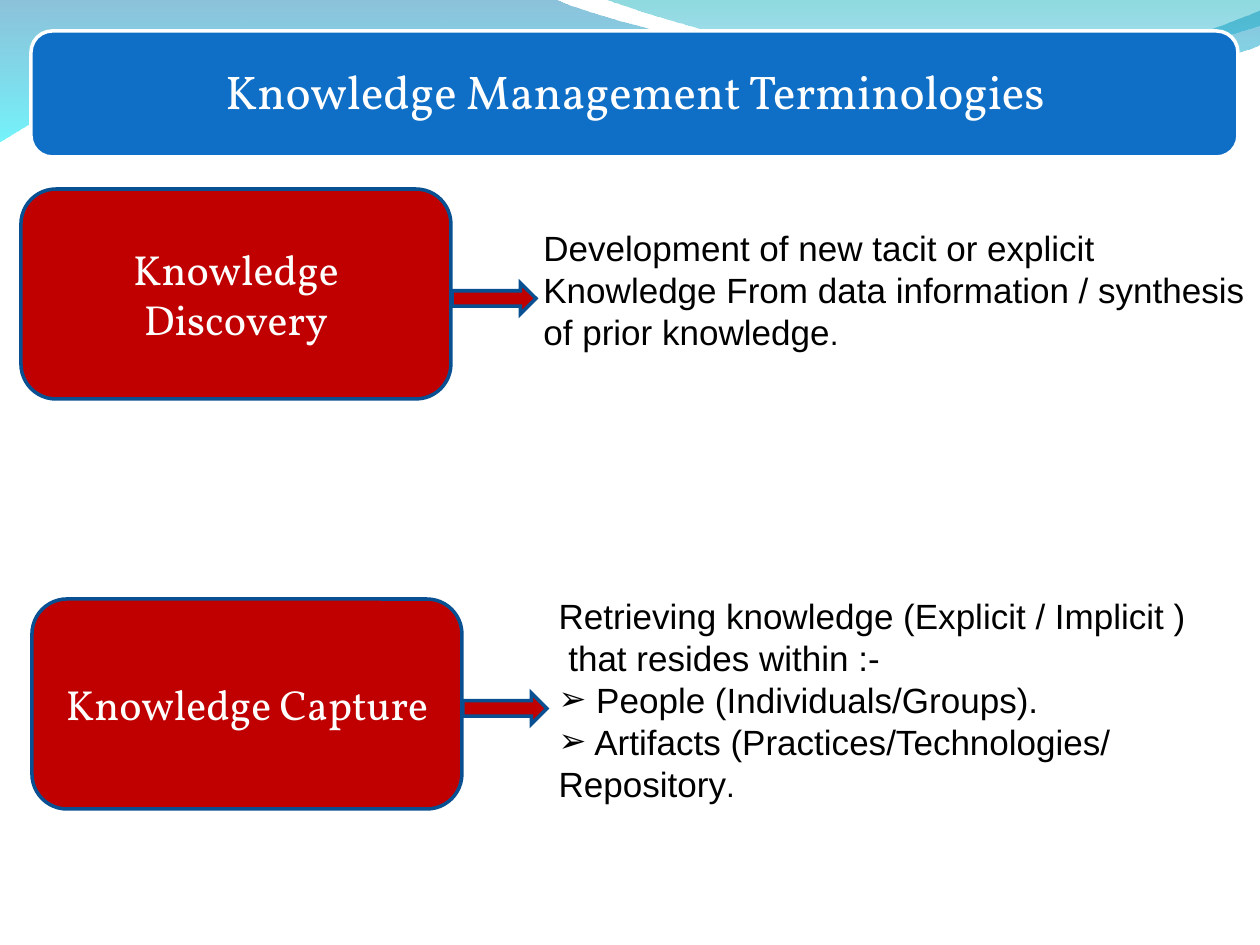
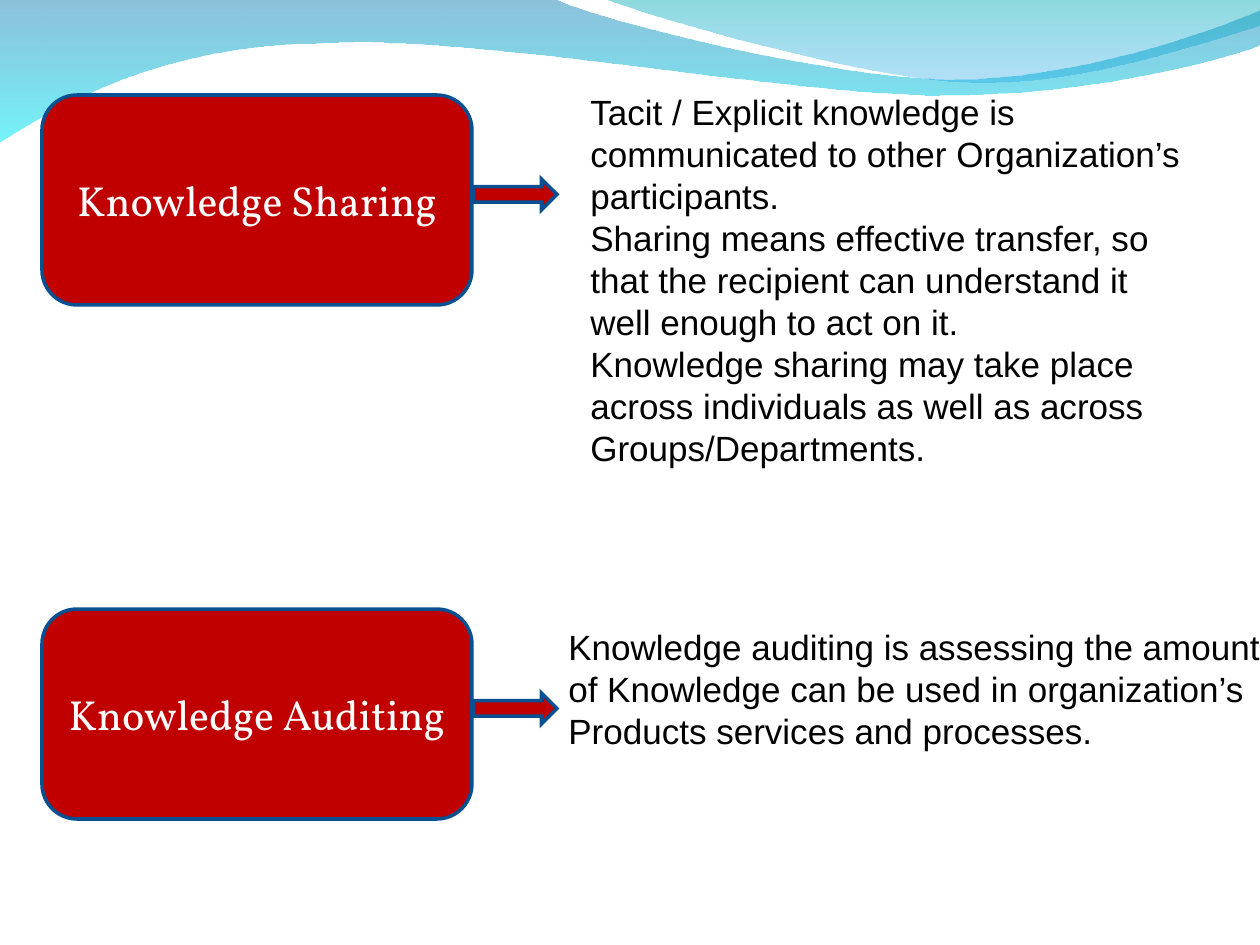
from lxml import etree
from pptx import Presentation, util as u
from pptx.dml.color import RGBColor
from pptx.enum import shapes, text
from pptx.oxml import ns

SCALE = 914400 / 126
WHITE = RGBColor(255, 255, 255)
BLACK = RGBColor(0, 0, 0)
BLUE = RGBColor(0x0F, 0x6F, 0xC6)
NAVY = RGBColor(0x08, 0x50, 0x91)
RED = RGBColor(0xC0, 0, 0)
STEEL = RGBColor(0, 0x79, 0xAF)
CYAN = RGBColor(0, 0xEB, 0xF8)
TEAL = RGBColor(0, 0xAD, 0xB6)
SKY = RGBColor(0, 0x9B, 0xE5)
SERIF, SANS = "Vollkorn", "Arial"
BULLET = "➢"

WAVES = [
    ([[(0, -1)], [(554, -1)],
      [(600, 21), (837, 79), (955, 79)],
      [(1075, 79), (1207, 33), (1260, 11)],
      [(1261, 45)],
      [(1239, 55), (1096, 96), (940, 95)],
      [(784, 95), (481, 35), (324, 43)],
      [(163, 44), (58, 105), (-1, 142)]],
     [(STEEL, 45), (CYAN, 55)]),
    ([[(604, -1)],
      [(641, 14), (859, 78), (969, 82)],
      [(1079, 87), (1211, 40), (1260, 26)],
      [(1260, 0)]],
     [(TEAL, 45), (SKY, 30)]),
]


def px(*sizes):
    return [u.Emu(round(n * SCALE)) for n in sizes]


def add(parent, tag, **attrs):
    return etree.SubElement(parent, ns.qn(tag), attrs)


class Deck:
    def __init__(self):
        self.prs = Presentation()
        self.prs.slide_width, self.prs.slide_height = px(1260, 945)

    def page(self, layout):
        self.slide = self.prs.slides.add_slide(self.prs.slide_layouts[layout])
        self.shapes = self.slide.shapes

    def waves(self):
        tree = self.prs.slide_master.shapes.element
        for i, (steps, stops) in enumerate(WAVES):
            node = self.wave(steps, stops).element
            node.find(".//" + ns.qn("p:cNvPr")).set("id", str(50 + i))
            tree.insert(2 + i, node)

    def wave(self, steps, stops):
        ends = [step[-1] for step in steps]
        left, top = (min(axis) for axis in zip(*ends))
        pen = self.shapes.build_freeform(*ends[0], scale=SCALE)
        pen.add_line_segments(ends[1:], close=True)
        shape = pen.convert_to_shape()
        lines = list(shape.element.iter(ns.qn("a:lnTo")))
        for node, step in zip(lines, steps[1:]):
            if len(step) == 3:
                curve = etree.Element(ns.qn("a:cubicBezTo"))
                for x, y in step:
                    add(curve, "a:pt", x=str(x - left), y=str(y - top))
                node.getparent().replace(node, curve)
        shape.shadow.inherit = False
        shape.line.fill.background()
        shape.fill.gradient()
        shape.fill.gradient_angle = 270
        for stop, (hue, _) in zip(shape.fill.gradient_stops, stops):
            stop.color.rgb = hue
        for node, (_, alpha) in zip(shape.element.iter(ns.qn("a:srgbClr")), stops):
            add(node, "a:alpha", val=str(alpha * 1000))
        return shape

    def block(self, kind, area, fill, line):
        shape = self.shapes.add_shape(kind, *px(*area))
        shape.shadow.inherit = False
        shape.fill.solid()
        shape.fill.fore_color.rgb = fill
        shape.line.color.rgb = line
        shape.line.width = u.Pt(2)
        add(shape.element.find(".//" + ns.qn("a:ln")), "a:miter", lim="800000")
        return shape

    def style(self, para, size, face, hue, align):
        para.alignment = align
        font = para.font
        font.size, font.name = u.Pt(size), face
        font.color.rgb = hue

    def label(self, shape, words, size):
        frame = shape.text_frame
        frame.text = words
        frame.word_wrap = True
        frame.vertical_anchor = text.MSO_ANCHOR.MIDDLE
        self.style(frame.paragraphs[0], size, SERIF, WHITE, text.PP_ALIGN.CENTER)

    def title(self, words):
        bar = self.block(shapes.MSO_SHAPE.ROUNDED_RECTANGLE, (31, 31, 1207, 126), BLUE, WHITE)
        bar.adjustments[0] = 0.17
        head = self.shapes.title
        head.left, head.top, head.width, head.height = px(36, 38, 1198, 113)
        self.label(head, words, 27)
        head.text_frame.paragraphs[0].line_spacing = 0.9
        bar.element.addnext(head.element)

    def term(self, words, x, y):
        kind = shapes.MSO_SHAPE
        box = self.block(kind.FLOWCHART_ALTERNATE_PROCESS, (x, y, 430, 210), RED, NAVY)
        self.label(box, words, 24)
        self.block(kind.RIGHT_ARROW, (x + 431, y + 94 - 10 * (x > 40), 84, 31), RED, NAVY)

    def note(self, lines, area, wrap=False, body=False, dot=False):
        if body:
            box = self.slide.placeholders[1]
            box.left, box.top, box.width, box.height = px(*area)
            self.shapes[-1].element.addnext(box.element)
        else:
            box = self.shapes.add_textbox(*px(*area))
        frame = box.text_frame
        frame.auto_size = text.MSO_AUTO_SIZE.NONE
        frame.word_wrap = wrap
        frame.text = "\n".join(line.removeprefix(BULLET) for line in lines)
        for para, line in zip(frame.paragraphs, lines):
            para.space_before = u.Pt(0)
            if body:
                self.bullet(para, line.startswith(BULLET))
            self.style(para, 20, SANS, BLACK, text.PP_ALIGN.LEFT)
        if dot:
            run = frame.paragraphs[-1].add_run()
            run.text = "."
            run.font.size = u.Pt(18)

    def bullet(self, para, shown):
        props = para._p.get_or_add_pPr()
        props.set("marL", "0")
        props.set("indent", "0")
        if shown:
            add(add(props, "a:buClr"), "a:srgbClr", val=str(BLACK))
            add(props, "a:buSzPct", val="95000")
            add(props, "a:buChar", char=BULLET)
        else:
            add(props, "a:buNone")


def main():
    deck = Deck()

    deck.page(1)
    deck.waves()
    deck.title("Knowledge Management Terminologies")
    deck.term("Knowledge Discovery", 21, 189)
    deck.note(["Development of new tacit or explicit",
               "Knowledge From data information / synthesis",
               "of prior knowledge"], (531, 220, 727, 139), dot=True)
    deck.term("Knowledge Capture", 32, 599)
    deck.note(["Retrieving knowledge (Explicit / Implicit )",
               " that resides within :-",
               BULLET + " People (Individuals/Groups).",
               BULLET + " Artifacts (Practices/Technologies/",
               "Repository"], (546, 588, 653, 223), body=True, dot=True)

    deck.page(6)
    deck.term("Knowledge Sharing", 42, 95)
    deck.note(["Tacit / Explicit knowledge is communicated to other "
               "Organization’s participants.",
               "Sharing means effective transfer, so that the recipient can "
               "understand it well enough to act on it.",
               "Knowledge sharing may take place across individuals as well as "
               "across Groups/Departments."], (578, 84, 630, 391), wrap=True)
    deck.term("Knowledge Auditing", 42, 609)
    deck.note(["Knowledge auditing is assessing the amount",
               "of Knowledge can be used in organization’s",
               "Products services and processes."], (556, 619, 717, 139))

    deck.prs.save("out.pptx")


if __name__ == "__main__":
    main()
